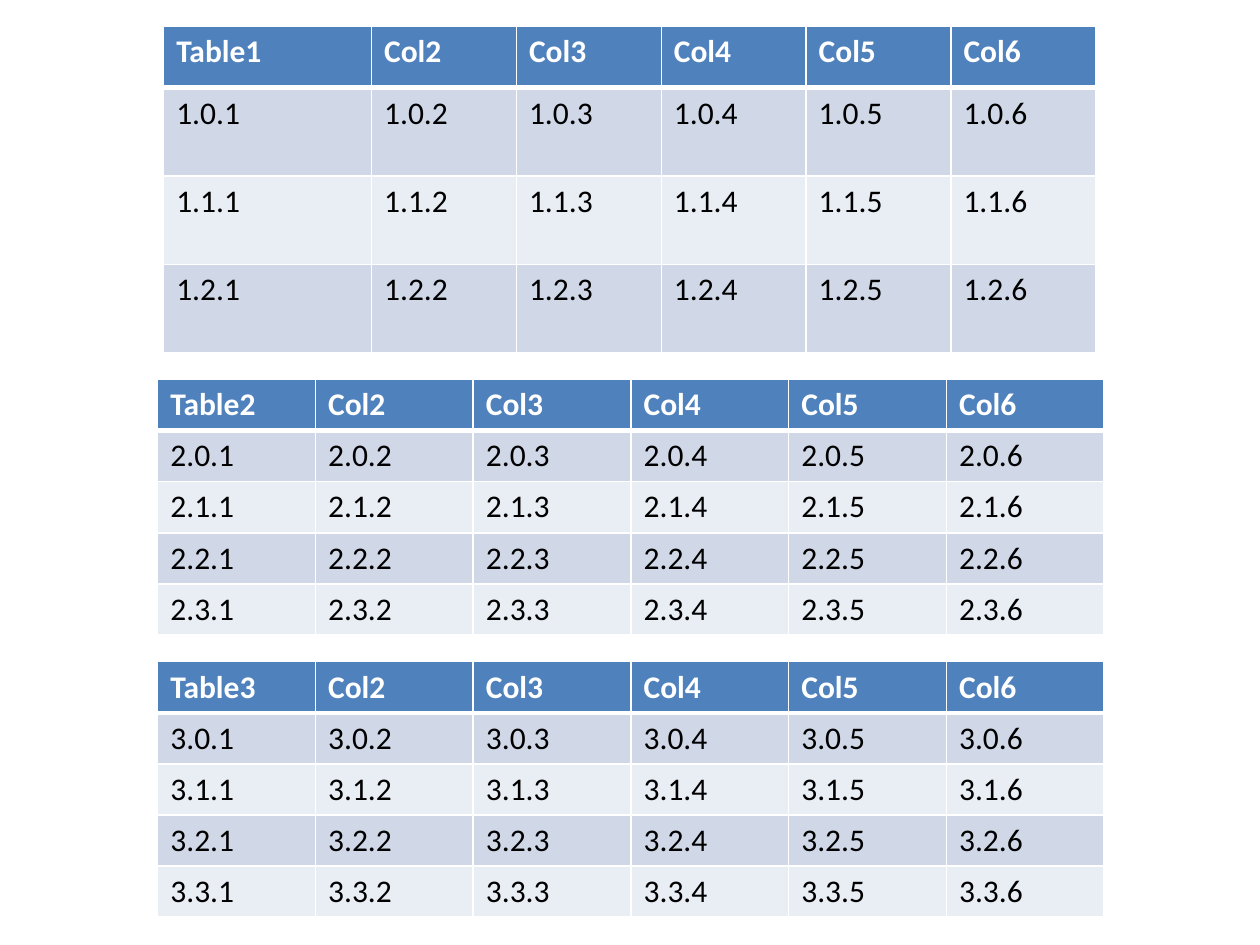
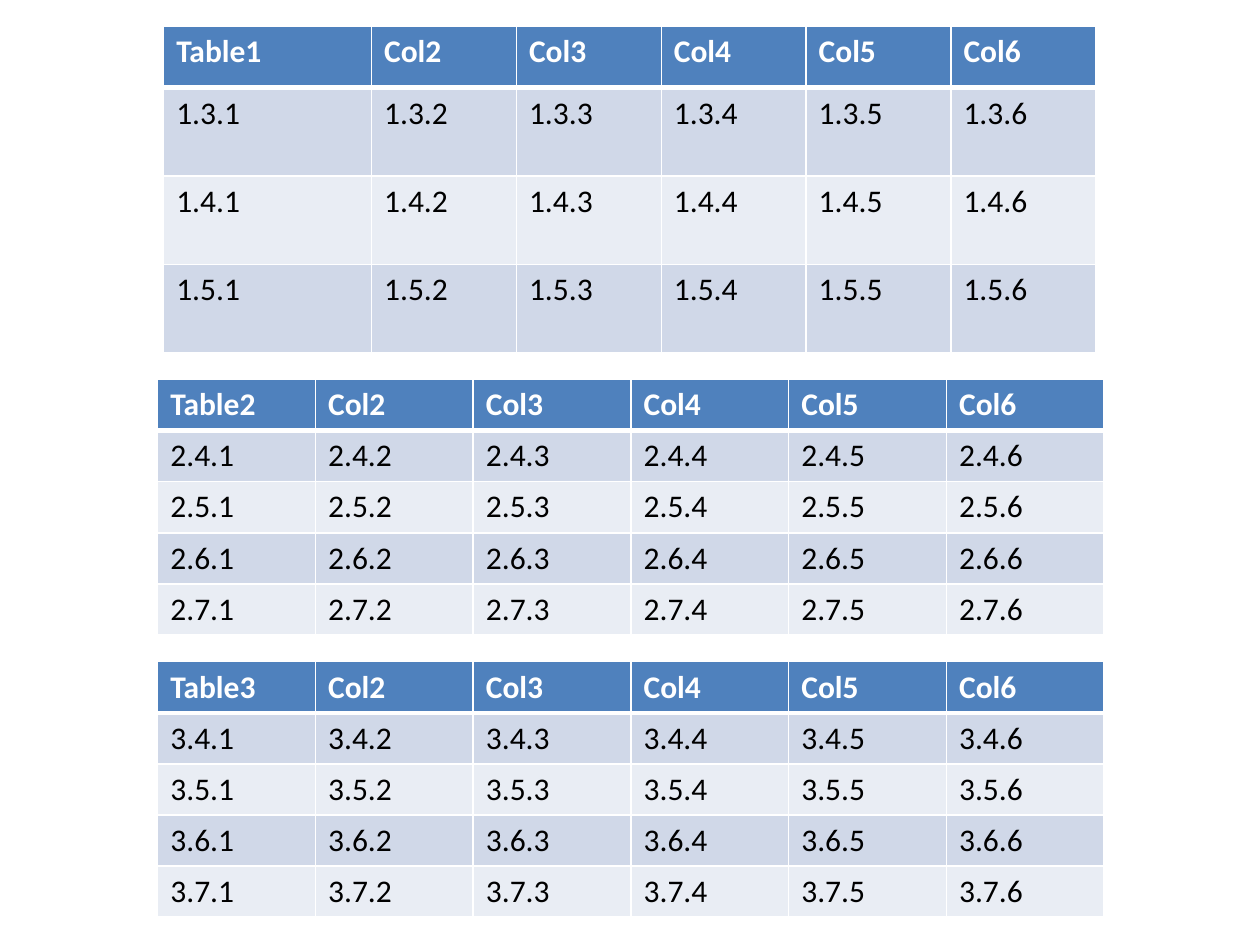
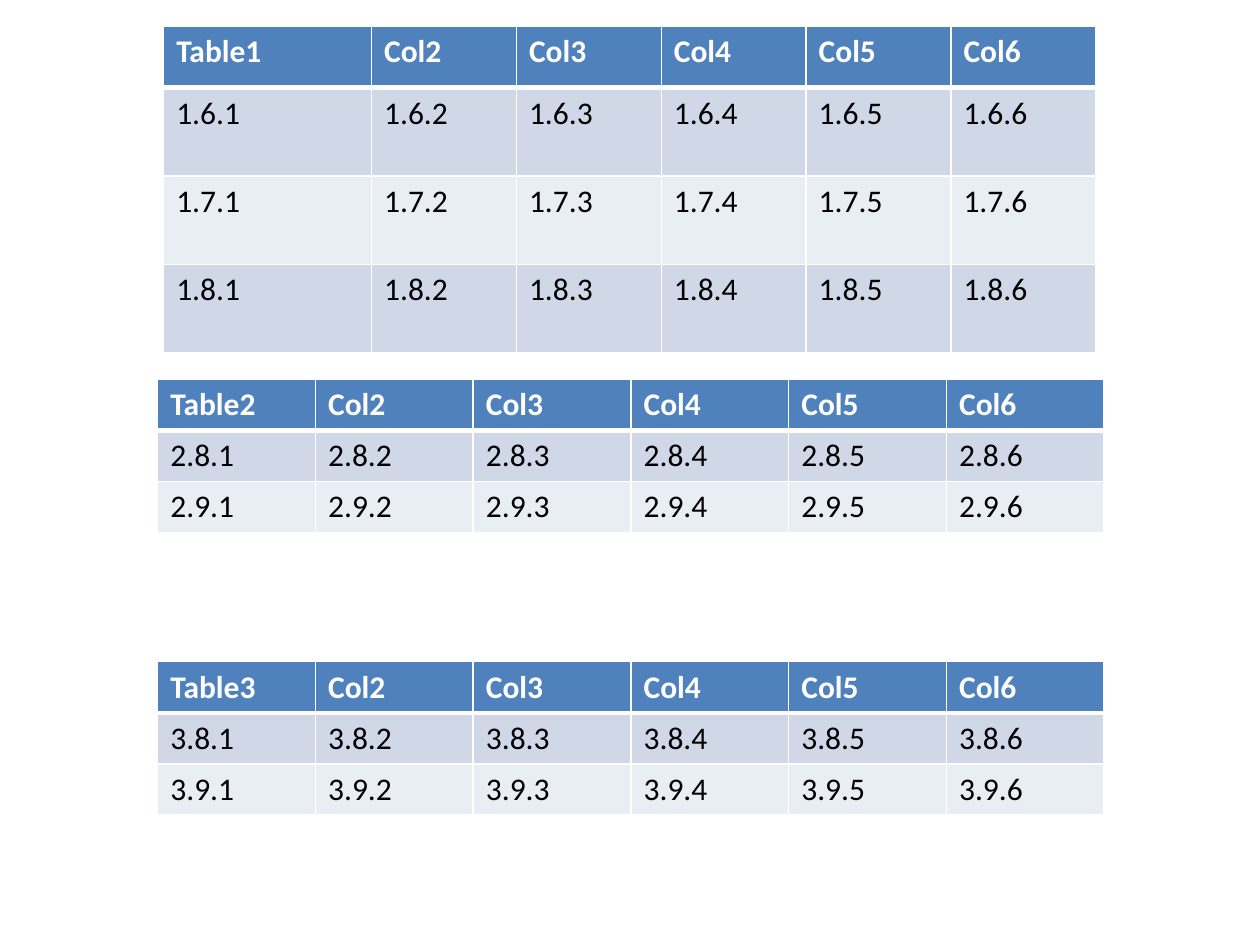
from lxml.etree import SubElement
from pptx import Presentation
from pptx.dml.color import RGBColor
from pptx.oxml.ns import qn
from pptx.util import Cm, Pt

COLOURS = {
    "header": "4F81BD",
    "odd_row": "D0D8E8",
    "even_row": "E9EDF4",
    "header_text": "FFFFFF",
    "body_text": "000000",
    "border": "FFFFFF",
}
FONT = "Calibri"
COLUMN_COUNT = 6
ROW_TOTAL = {1: 9, 2: 10, 3: 10}  # body rows of each table over all slides

# Lengths in centimetres
TABLES = [
    {"number": 1, "left": 3.3, "top": 0.53, "height": 6.6, "first_column": 4.19,
     "column": 2.92, "header_row": 1.24, "body_row": 1.78, "rows_per_page": 3},
    {"number": 2, "left": 3.18, "top": 7.65, "height": 5.13, "first_column": 3.18,
     "column": 3.18, "header_row": 0.64, "body_row": 1.03, "rows_per_page": 4},
    {"number": 3, "left": 3.18, "top": 13.34, "height": 5.13, "first_column": 3.18,
     "column": 3.18, "header_row": 0.64, "body_row": 1.03, "rows_per_page": 4},
]


def set_border(cell, side, width):
    line = SubElement(cell._tc.get_or_add_tcPr(), qn(f"a:{side}"), w=str(Pt(width)))
    fill = SubElement(line, qn("a:solidFill"))
    SubElement(fill, qn("a:srgbClr"), val=COLOURS["border"])


def fill_cell(cell, text, row):
    is_header = row == 0
    # Borders: a thick line parts the header from the body
    set_border(cell, "lnL", 1)
    set_border(cell, "lnR", 1)
    set_border(cell, "lnT", 3 if row == 1 else 1)
    set_border(cell, "lnB", 3 if is_header else 1)
    # Banded fill
    band = "header" if is_header else "odd_row" if row % 2 else "even_row"
    cell.fill.solid()
    cell.fill.fore_color.rgb = RGBColor.from_string(COLOURS[band])
    # Text
    span = cell.text_frame.paragraphs[0].add_run()
    span.text = text
    span.font.name = FONT
    span.font.size = Pt(18)
    span.font.bold = is_header
    text_colour = COLOURS["header_text" if is_header else "body_text"]
    span.font.color.rgb = RGBColor.from_string(text_colour)


deck = Presentation()
deck.slide_width = Cm(25.4)
deck.slide_height = Cm(19.05)
blank_layout = deck.slide_layouts[6]

for page_index in range(3):
    page = deck.slides.add_slide(blank_layout)
    for settings in TABLES:
        number = settings["number"]

        # Body rows that fall on this slide
        start = page_index * settings["rows_per_page"]
        end = min(start + settings["rows_per_page"], ROW_TOTAL[number])
        lines = [[f"Table{number}"] + [f"Col{column}" for column in range(2, COLUMN_COUNT + 1)]]
        for entry in range(start, end):
            lines.append([f"{number}.{entry}.{column}" for column in range(1, COLUMN_COUNT + 1)])

        # Table grid
        width = settings["first_column"] + (COLUMN_COUNT - 1) * settings["column"]
        frame = page.shapes.add_table(
            len(lines), COLUMN_COUNT, Cm(settings["left"]), Cm(settings["top"]),
            Cm(width), Cm(settings["height"]))
        frame.name = f"Table {number}"
        table = frame.table
        for index, column in enumerate(table.columns):
            column.width = Cm(settings["column" if index else "first_column"])
        for index, row in enumerate(table.rows):
            row.height = Cm(settings["body_row" if index else "header_row"])
        frame.height = Cm(settings["height"])

        # Cells
        for row_index, line in enumerate(lines):
            for column_index, text in enumerate(line):
                fill_cell(table.cell(row_index, column_index), text, row_index)

deck.save("out.pptx")
